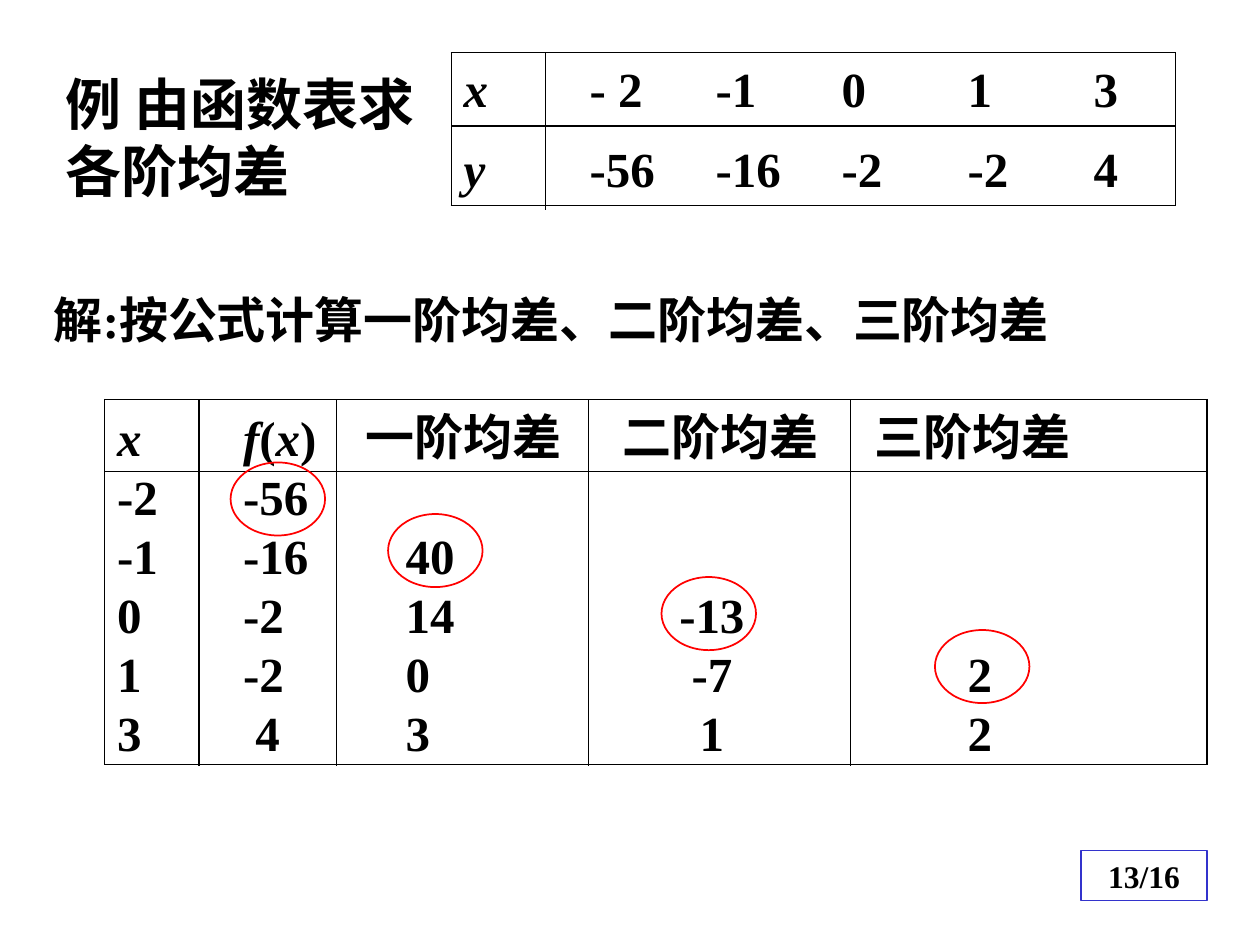
"""Build the divided-difference example slide with its two function tables."""
from dataclasses import dataclass
from itertools import groupby, pairwise

from lxml import etree
from pptx import Presentation
from pptx.dml.color import RGBColor
from pptx.enum import shapes, text
from pptx.oxml.ns import qn
from pptx.util import Inches, Pt


@dataclass(frozen=True)
class Theme:
    """Colours, fonts and type sizes of the slide."""
    ink: str = "000000"
    ring: str = "FF0000"
    page: str = "3333CC"
    latin: str = "Times New Roman"
    cjk: str = "Noto Sans CJK SC"
    title: int = 32
    body: int = 28
    small: int = 18
    rule: float = 0.75
    leading: float = 1.2


@dataclass(frozen=True)
class Box:
    """Position and size in inches."""
    left: float
    top: float
    width: float
    height: float

    def emu(self) -> list:
        """Return the four lengths for python-pptx."""
        return [Inches(v) for v in (self.left, self.top, self.width, self.height)]


@dataclass(frozen=True)
class Column:
    """Left edge, header and body indents, and alignment of a table column."""
    left: float
    head: float
    body: float
    align: text.PP_ALIGN = text.PP_ALIGN.LEFT


@dataclass(frozen=True)
class Grid:
    """A framed table with one head rule and vertical dividers."""
    top: float
    right: float
    columns: list[Column]
    heights: list[float]
    rows: list[list[str]]
    pad: float
    head_rule: float
    divider_end: float
    dividers: list[float]


T = Theme()
MIDDLE, BOTTOM = text.MSO_ANCHOR.MIDDLE, text.MSO_ANCHOR.BOTTOM
LEFT, CENTER = text.PP_ALIGN.LEFT, text.PP_ALIGN.CENTER
RING_W, RING_H = 0.75, 0.58
RINGS = [(1.83, 3.67), (3.08, 4.08), (5.25, 4.58), (7.42, 5.0)]

FUNCTION = Grid(
    0.42, 9.33,
    [Column(3.58, 0.1, 0.1)] + [Column(4.33 + i, 0.35, 0.35) for i in range(5)],
    [0.58, 0.63],
    [["x", "- 2", "-1", "0", "1", "3"], ["y", "-56", "-16", "-2", "-2", "4"]],
    0.06, 1.0, 1.67, [4.33],
)
DIFFERENCES = Grid(
    3.17, 9.58,
    [Column(0.83, 0.1, 0.1), Column(1.58, 0.35, 0.35), Column(2.67, 0.23, 0.55),
     Column(4.67, 0.27, 0, CENTER), Column(6.75, 0.19, 0.93)],
    [0.56] + [0.467] * 5,
    [["x", "f(x)", "一阶均差", "二阶均差", "三阶均差"],
     ["-2", "-56", "", "", ""],
     ["-1", "-16", "40", "", ""],
     ["0", "-2", "14", "-13", ""],
     ["1", "-2", "0", "-7", "2"],
     ["3", " 4", "3", "1", "2"]],
    0.02, 3.74, 6.08, [1.58, 2.67, 4.67, 6.75],
)


def is_variable(char: str) -> bool:
    """Tell whether a character is a Latin letter, set in italics."""
    return char.isascii() and char.isalpha()


def write(tf, words: str, size: int, align=LEFT, latin: str = T.latin):
    """Write one bold paragraph with its variables in italics."""
    p = tf.paragraphs[0]
    p.alignment = align
    p.space_before = Pt(0)
    for italic, chars in groupby(words, is_variable):
        r = p.add_run()
        r.text = "".join(chars)
        fmt = {"name": latin, "size": Pt(size), "bold": True, "italic": italic}
        for key, value in fmt.items():
            setattr(r.font, key, value)
        r.font.color.rgb = RGBColor.from_string(T.ink)
        ea = etree.SubElement(r.font._element, qn("a:ea"))
        ea.set("typeface", T.cjk)
    return p


def set_frame(tf) -> None:
    """Wrap the text and centre it vertically."""
    fmt = {"word_wrap": True, "auto_size": text.MSO_AUTO_SIZE.NONE,
           "vertical_anchor": MIDDLE}
    for key, value in fmt.items():
        setattr(tf, key, value)


def add_outline(s, kind, box: Box, color: str, width: float):
    """Add an unfilled preset shape."""
    sp = s.shapes.add_shape(kind, *box.emu())
    sp.shadow.inherit = False
    sp.fill.background()
    sp.line.color.rgb = RGBColor.from_string(color)
    sp.line.width = Pt(width)
    return sp


def add_rule(s, x1: float, y1: float, x2: float, y2: float) -> None:
    """Add a thin straight line."""
    ends = [Inches(v) for v in (x1, y1, x2, y2)]
    sp = s.shapes.add_connector(shapes.MSO_CONNECTOR.STRAIGHT, *ends)
    sp.line.color.rgb = RGBColor.from_string(T.ink)
    sp.line.width = Pt(T.rule)
    etree.SubElement(sp._element.spPr, qn("a:effectLst"))


def set_borders(cell, sides: dict[str, bool]) -> None:
    """Rule the chosen sides of a cell and clear the others."""
    props = cell._tc.get_or_add_tcPr()
    for i, (side, shown) in enumerate(sides.items()):
        ln = etree.Element(qn(f"a:ln{side}"), w=str(Pt(T.rule)))
        fill = etree.SubElement(ln, qn("a:solidFill" if shown else "a:noFill"))
        if shown:
            etree.SubElement(fill, qn("a:srgbClr"), val=T.ink)
        props.insert(i, ln)


def add_grid(s, grid: Grid) -> None:
    """Add a framed table with its head rule and dividers."""
    edges = [c.left for c in grid.columns] + [grid.right]
    n_rows, n_cols = len(grid.rows), len(grid.columns)
    box = Box(edges[0], grid.top, edges[-1] - edges[0], sum(grid.heights))
    table = s.shapes.add_table(n_rows, n_cols, *box.emu()).table
    table.first_row = table.horz_banding = False
    for col, (a, b) in zip(table.columns, pairwise(edges)):
        col.width = Inches(b - a)
    for row, height in zip(table.rows, grid.heights):
        row.height = Inches(height)
    for i, values in enumerate(grid.rows):
        for j, (column, value) in enumerate(zip(grid.columns, values)):
            cell = table.cell(i, j)
            fmt = {"margin_left": Inches(column.body if i else column.head),
                   "margin_right": Inches(0.12 if column.align == CENTER else 0),
                   "margin_top": 0, "vertical_anchor": BOTTOM,
                   "margin_bottom": Inches(grid.pad) if value.isascii() else 0}
            for key, setting in fmt.items():
                setattr(cell, key, setting)
            cell.fill.background()
            set_borders(cell, {"L": j == 0, "R": j == n_cols - 1,
                               "T": i == 0, "B": i == n_rows - 1})
            p = write(cell.text_frame, value, T.body, column.align if i else LEFT)
            if not value.isascii():
                p.line_spacing = Pt(T.body * T.leading)
    add_rule(s, edges[0], grid.head_rule, grid.right, grid.head_rule)
    for x in grid.dividers:
        add_rule(s, x, grid.top, x, grid.divider_end)


def main() -> None:
    """Build and save the slide."""
    prs = Presentation()
    prs.slide_width, prs.slide_height = Inches(10), Inches(7.5)
    s = prs.slides.add_slide(prs.slide_layouts[5])

    title = s.shapes.title
    title.left, title.top, title.width, title.height = Box(0.42, 0.5, 3, 1.17).emu()
    set_frame(title.text_frame)
    p = write(title.text_frame, "例 由函数表求各阶均差", T.title, latin=T.cjk)
    p.line_spacing = Pt(T.title * T.leading)

    add_grid(s, FUNCTION)
    add_grid(s, DIFFERENCES)

    solution = s.shapes.add_textbox(*Box(0.33, 2.25, 9.33, 0.57).emu())
    set_frame(solution.text_frame)
    write(solution.text_frame, "解:按公式计算一阶均差、二阶均差、三阶均差", T.body)

    page = add_outline(s, shapes.MSO_SHAPE.RECTANGLE, Box(8.58, 6.75, 1, 0.4),
                       T.page, T.rule)
    set_frame(page.text_frame)
    write(page.text_frame, "13/16", T.small, CENTER)

    for left, top in RINGS:
        add_outline(s, shapes.MSO_SHAPE.OVAL, Box(left, top, RING_W, RING_H), T.ring, 1)
    prs.save("out.pptx")


if __name__ == "__main__":
    main()
